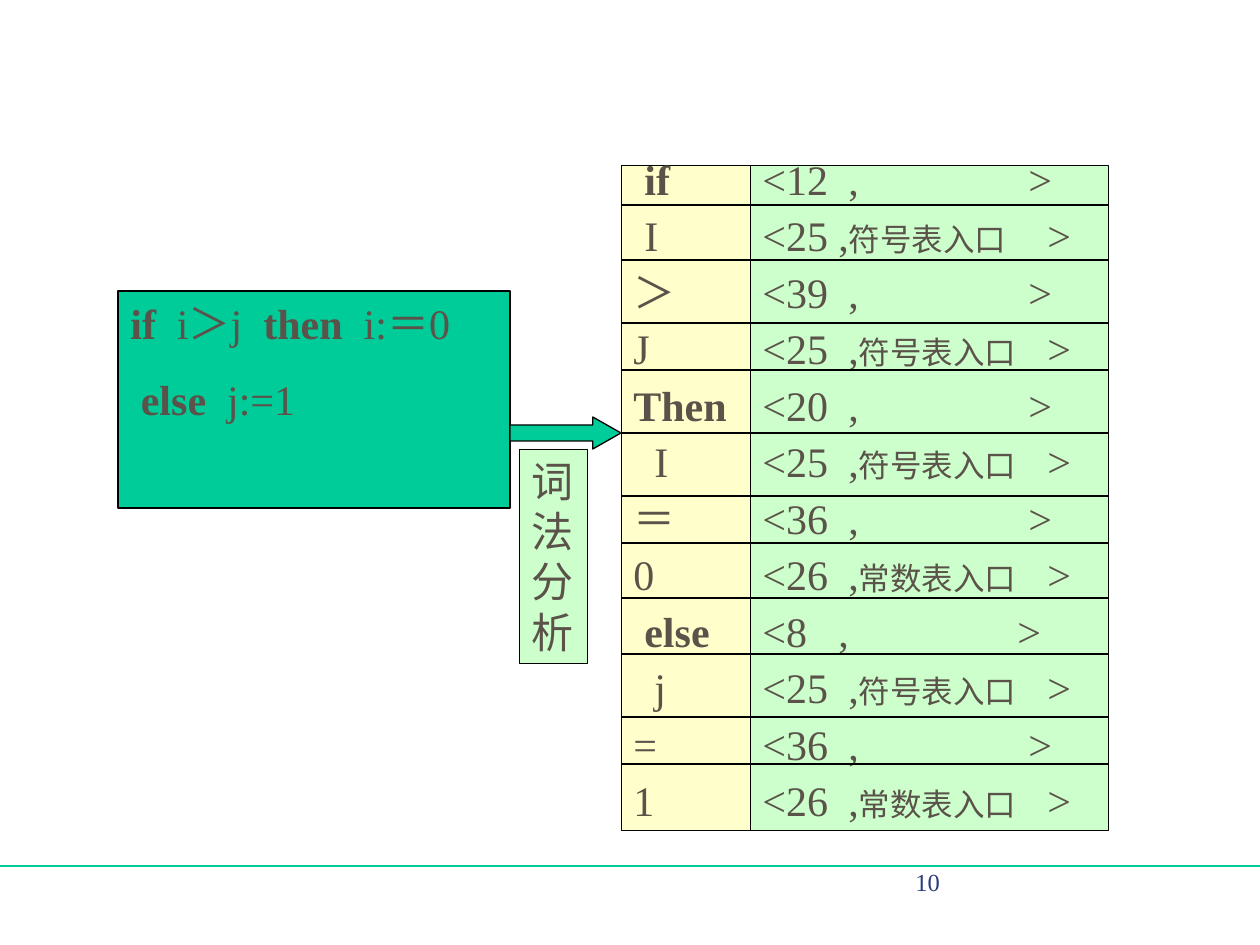
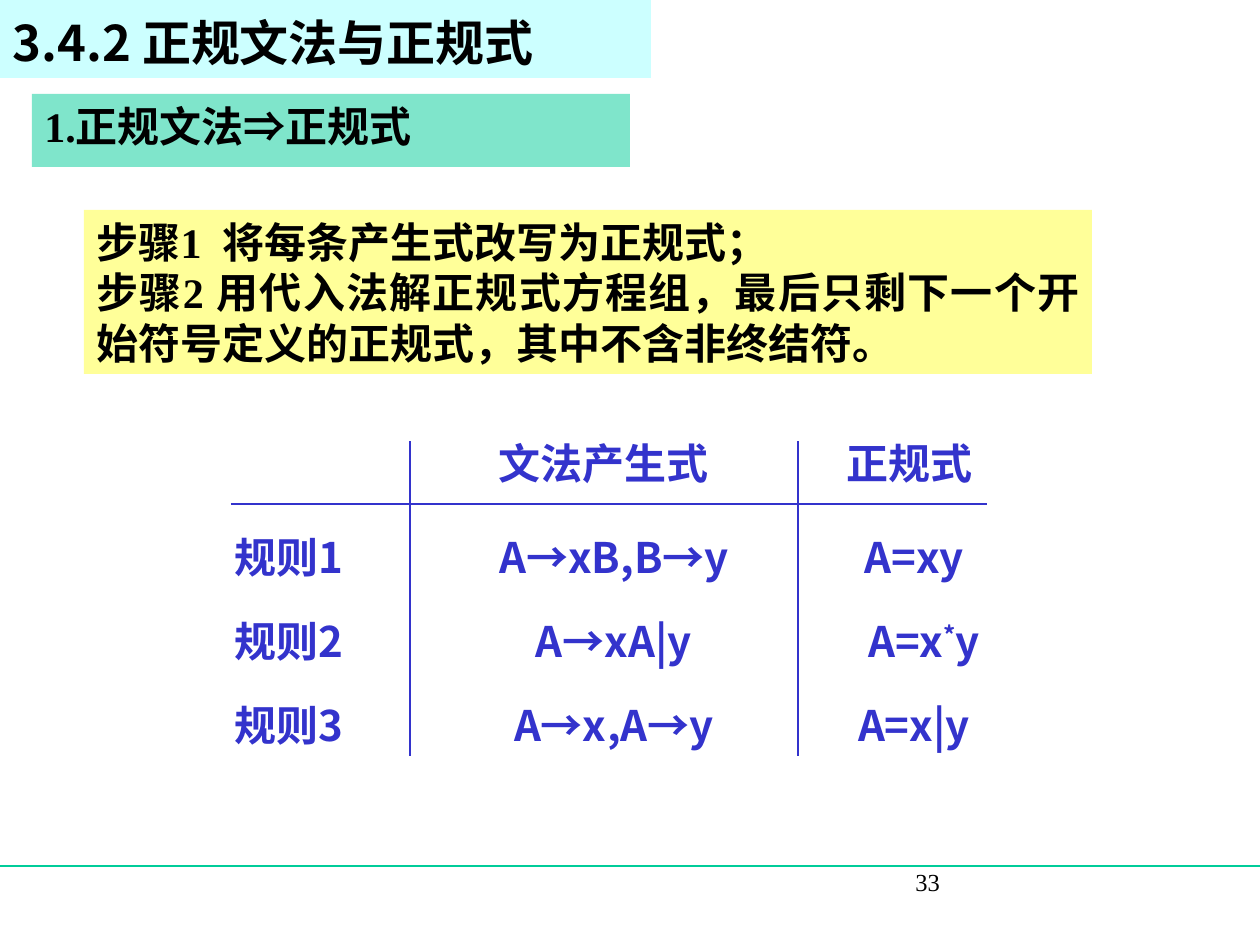
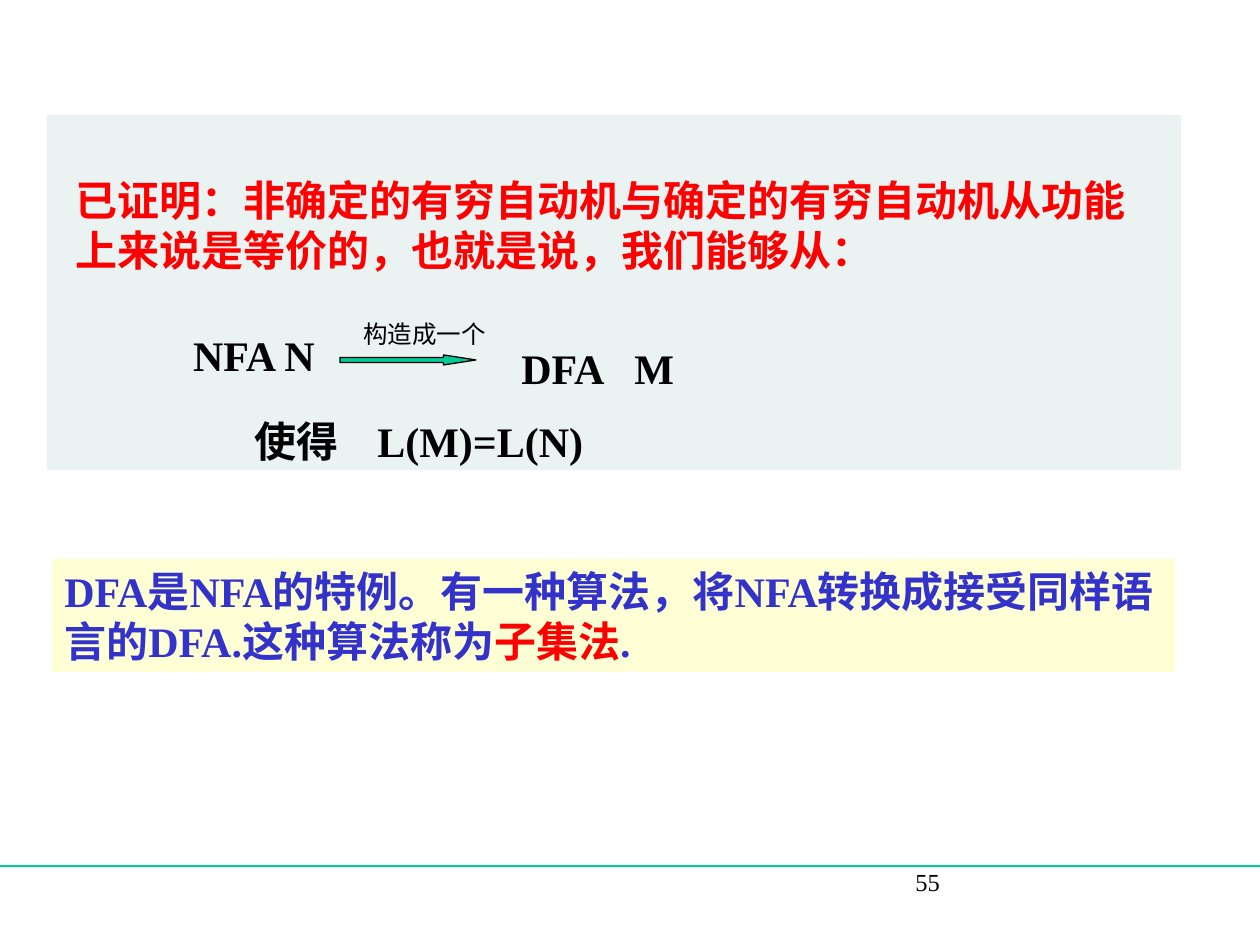
from pptx import Presentation
from pptx.dml.color import RGBColor
from pptx.enum.shapes import MSO_CONNECTOR, MSO_SHAPE
from pptx.enum.text import MSO_ANCHOR, MSO_AUTO_SIZE, PP_ALIGN
from pptx.oxml.ns import qn
from pptx.util import Emu, Pt
from lxml.etree import SubElement

PX_PER_INCH = 126
LATIN, SANS, SYMBOL = "Times New Roman", "Noto Sans CJK SC", "Arial"
COLORS = {
    "black": "000000", "brown": "5B5249", "navy": "2A3D7A", "blue": "3333CC",
    "red": "FF0000", "green": "00CC99", "mint": "CCFFCC", "cream": "FFFFCC",
    "yellow": "FFFF99", "pale yellow": "FFFFD5", "cyan": "CCFFFF", "mist": "D9E6E6",
}
BOLD, PLAIN = {"bold": True}, {"bold": False}
BODY = {"size": 24, "color": "black", "font": LATIN, "bold": True}
SOURCE = {"size": 24, "color": "brown", "font": LATIN, "bold": False}
RULES = {"size": 24, "color": "blue", "font": SANS, "bold": True}

# token, bold, indent, code, table entry, comma position, closing bracket position
TOKENS = [
    ("if", True, 11, "<12", "", 86, 266),
    ("I", False, 11, "<25", "符号表入口", 76, 285),
    ("＞", False, 0, "<39", "", 86, 266),
    ("J", False, 0, "<25", "符号表入口", 86, 285),
    ("Then", True, 0, "<20", "", 86, 266),
    ("I", False, 21, "<25", "符号表入口", 86, 285),
    ("＝", False, 0, "<36", "", 86, 266),
    ("0", False, 0, "<26", "常数表入口", 86, 285),
    ("else", True, 11, "<8", "", 76, 255),
    ("j", False, 21, "<25", "符号表入口", 86, 285),
    ("=", False, 0, "<36", "", 86, 266),
    ("1", False, 0, "<26", "常数表入口", 86, 285),
]
TOKEN_RULES = [205, 260, 323, 370, 433, 496, 543, 598, 654, 717, 764]


def px(length):
    return Emu(round(length * 914400 / PX_PER_INCH))


def rgb(name):
    return RGBColor.from_string(COLORS[name])


def paint(shape, fill, line=None, weight=0.75, opacity=100):
    shape.fill.solid()
    shape.fill.fore_color.rgb = rgb(fill)
    if opacity < 100:
        color = shape.fill._xPr.find(qn("a:solidFill"))[0]
        SubElement(color, qn("a:alpha")).set("val", str(opacity * 1000))
    if line:
        shape.line.color.rgb = rgb(line)
        shape.line.width = Pt(weight)
    else:
        shape.line.fill.background()


def add_panel(page, place, fill, kind=MSO_SHAPE.RECTANGLE, **look):
    panel = page.shapes.add_shape(kind, *map(px, place))
    panel.shadow.inherit = False
    paint(panel, fill, **look)
    return panel


def add_arrow(page, place, head):
    arrow = add_panel(page, place, "green", MSO_SHAPE.RIGHT_ARROW, line="black")
    arrow.adjustments[1] = head


def add_rule(page, start, end, color):
    rule = page.shapes.add_connector(MSO_CONNECTOR.STRAIGHT, *map(px, start + end))
    rule.line.color.rgb = rgb(color)
    rule.line.width = Pt(0.75)
    SubElement(rule.element.spPr, qn("a:effectLst"))
    return rule


def format_span(span, size, color, font, bold, raised=False):
    span.font.size = Pt(size)
    span.font.bold = bold
    span.font.color.rgb = rgb(color)
    span.font.name = font
    properties = span._r.get_or_add_rPr()
    SubElement(properties, qn("a:ea")).set("typeface", SANS)
    if raised:
        properties.set("baseline", "30000")


def set_layout(para, indent=0, tabs=()):
    """Set tab stops, or else the left margin, without a bullet."""
    properties = para._p.get_or_add_pPr()
    SubElement(properties, qn("a:buNone"))
    if tabs:
        # LibreOffice drops the tab stops of a paragraph that has its own margin.
        stops = SubElement(properties, qn("a:tabLst"))
        for stop in tabs:
            SubElement(stops, qn("a:tab"), pos=str(px(stop)), algn="l")
    else:
        properties.set("marL", str(px(indent)))
        properties.set("indent", "0")


def write(shape, lines, style, align=PP_ALIGN.LEFT, anchor=MSO_ANCHOR.TOP,
          before=0, spacing=1.0, layouts=None, wrap=True):
    """Fill a shape; each line is a string or a list of (text, style changes)."""
    frame = shape.text_frame
    frame.auto_size = MSO_AUTO_SIZE.NONE
    frame.word_wrap = wrap
    frame.vertical_anchor = anchor
    for index, line in enumerate(lines):
        para = frame.add_paragraph() if index else frame.paragraphs[0]
        para.alignment = align
        para.line_spacing = spacing
        para.space_before = Pt(before if index else 0)
        set_layout(para, **(layouts[index] if layouts else {}))
        for text, changes in [(line, {})] if isinstance(line, str) else line:
            span = para.add_run()
            span.text = text
            format_span(span, **{**style, **changes})


def add_text(page, place, lines, style, **look):
    write(page.shapes.add_textbox(*map(px, place)), lines, style, **look)


def add_page(deck, layout, number, color="black"):
    page = deck.slides.add_slide(deck.slide_layouts[layout])
    style = {"size": 14, "color": color, "font": LATIN, "bold": False}
    add_text(page, (903, 861, 262, 63), [number], style)
    return page


def move_placeholder(holder, place, fill):
    holder.left, holder.top, holder.width, holder.height = map(px, place)
    paint(holder, fill)


def entry_line(code, entry):
    if not entry:
        return f"{code}\t,\t>"
    return [(f"{code}\t,", {}), (entry, {"size": 18}), ("\t>", {})]


def build_lexing_page(deck):
    page = add_page(deck, 6, "10", "navy")
    # The master carries the footer rule for every page.
    footer_rule = add_rule(page, (0, 866), (1260, 866), "green")
    deck.slide_master.shapes.element.append(footer_rule.element)

    rows = {"before": 15, "spacing": 0.6}
    entries = add_panel(page, (750, 165, 358, 665), "mint", line="black", weight=0.25)
    write(entries, [entry_line(row[3], row[4]) for row in TOKENS], SOURCE,
          layouts=[{"tabs": row[5:]} for row in TOKENS], **rows)
    code = add_panel(page, (118, 291, 392, 217), "green", line="black")
    write(code, [
        [("if", BOLD), ("  i＞j ", {}), (" then", BOLD), ("  i:＝0", {})],
        [(" ", {}), ("else", BOLD), ("  j:=1", {})],
    ], SOURCE, before=15)
    add_arrow(page, (510, 417, 111, 32), 0.88)
    phase = add_panel(page, (519, 449, 68, 214), "mint", line="black", weight=0.25)
    write(phase, ["词法分析"], SOURCE)
    tokens = add_panel(page, (621, 165, 129, 665), "cream", line="black", weight=0.25)
    write(tokens, [[(row[0], {"bold": row[1]})] for row in TOKENS], SOURCE,
          layouts=[{"indent": row[2]} for row in TOKENS], **rows)
    for y in TOKEN_RULES:
        add_rule(page, (621, y), (1108, y), "black")


def build_grammar_page(deck):
    page = add_page(deck, 1, "33")
    title, steps = page.placeholders
    move_placeholder(title, (0, 0, 651, 78), "cyan")
    write(title, ["3.4.2 正规文法与正规式"], {**RULES, "size": 28, "color": "black"},
          anchor=MSO_ANCHOR.BOTTOM)
    move_placeholder(steps, (84, 210, 1008, 164), "yellow")
    write(steps, [
        "步骤1  将每条产生式改写为正规式；",
        "步骤2 用代入法解正规式方程组，最后只剩下一个开始符号定义的正规式，其中不含非终结符。",
    ], BODY, align=PP_ALIGN.JUSTIFY)
    heading = add_panel(page, (32, 94, 598, 73), "green", opacity=50)
    write(heading, [[("1.正规文法", {}), ("⇒", {"font": SYMBOL}), ("正规式", {})]],
          BODY, wrap=False)

    starred = [("A=x", {}), ("*", {"raised": True}), ("y", {})]
    cells = [
        (431, [("文法产生式", 604), ("正规式", 909)]),
        (525, [("规则1", 289), ("A→xB,B→y", 614), ("A=xy", 914)]),
        (609, [("规则2", 289), ("A→xA|y", 614), (starred, 924)]),
        (693, [("规则3", 289), ("A→x,A→y", 614), ("A=x|y", 914)]),
    ]
    width = 284
    for top, row in cells:
        for line, center in row:
            add_text(page, (center - width // 2, top, width, 63), [line], RULES,
                     align=PP_ALIGN.CENTER)
    add_rule(page, (231, 504), (987, 504), "blue")
    for x in (410, 798):
        add_rule(page, (x, 441), (x, 756), "blue")


def build_automata_page(deck):
    page = add_page(deck, 6, "55")
    add_panel(page, (47, 115, 1134, 355), "mist", opacity=50)
    add_arrow(page, (340, 355, 136, 10), 3.24)
    middle = {"anchor": MSO_ANCHOR.MIDDLE}
    centered = {**middle, "align": PP_ALIGN.CENTER, "wrap": False}
    add_text(page, (63, 168, 1086, 113), [
        "已证明：非确定的有穷自动机与确定的有穷自动机从功能上来说是等价的，也就是说，我们能够从：",
    ], {**BODY, "color": "red"}, **middle)
    add_text(page, (178, 323, 152, 63), ["NFA N"], BODY, **centered)
    add_text(page, (509, 336, 200, 63), ["DFA\tM"], BODY,
             layouts=[{"tabs": [113]}], **middle)
    add_text(page, (351, 312, 147, 43), ["构造成一个"],
             {**BODY, "size": 14, **PLAIN}, **centered)
    add_text(page, (242, 409, 393, 63), ["使得\tL(M)=L(N)"], BODY,
             layouts=[{"tabs": [123]}], **middle)
    summary = add_panel(page, (52, 559, 1123, 113), "pale yellow")
    write(summary, [[
        ("DFA是NFA的特例。有一种算法，将NFA转换成接受同样语言的DFA.这种算法称为", {}),
        ("子集法", {"color": "red"}), (".", {}),
    ]], {**BODY, "color": "blue"})


def main():
    deck = Presentation()
    deck.slide_width, deck.slide_height = px(1260), px(945)
    build_lexing_page(deck)
    build_grammar_page(deck)
    build_automata_page(deck)
    deck.save("out.pptx")


if __name__ == "__main__":
    main()
